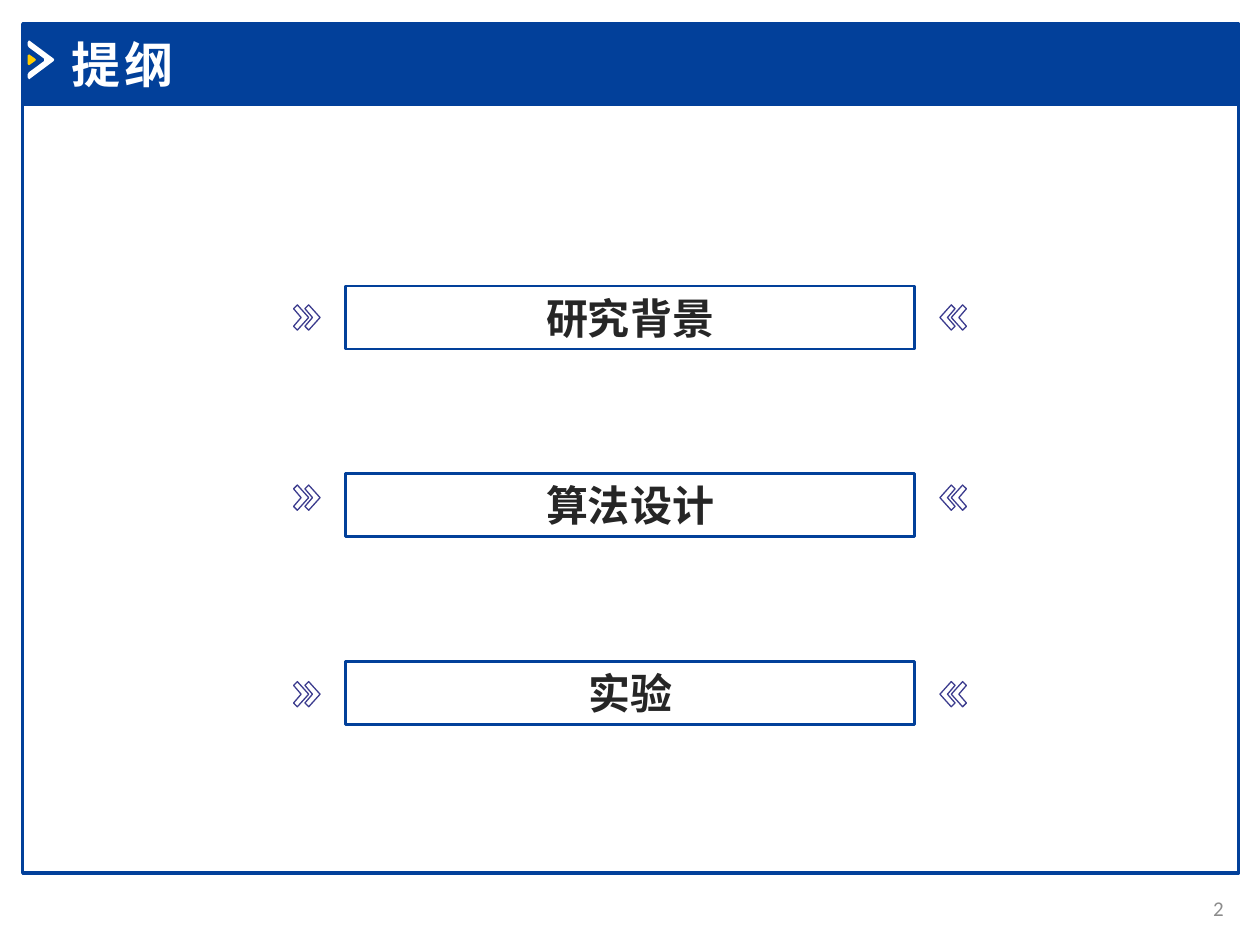
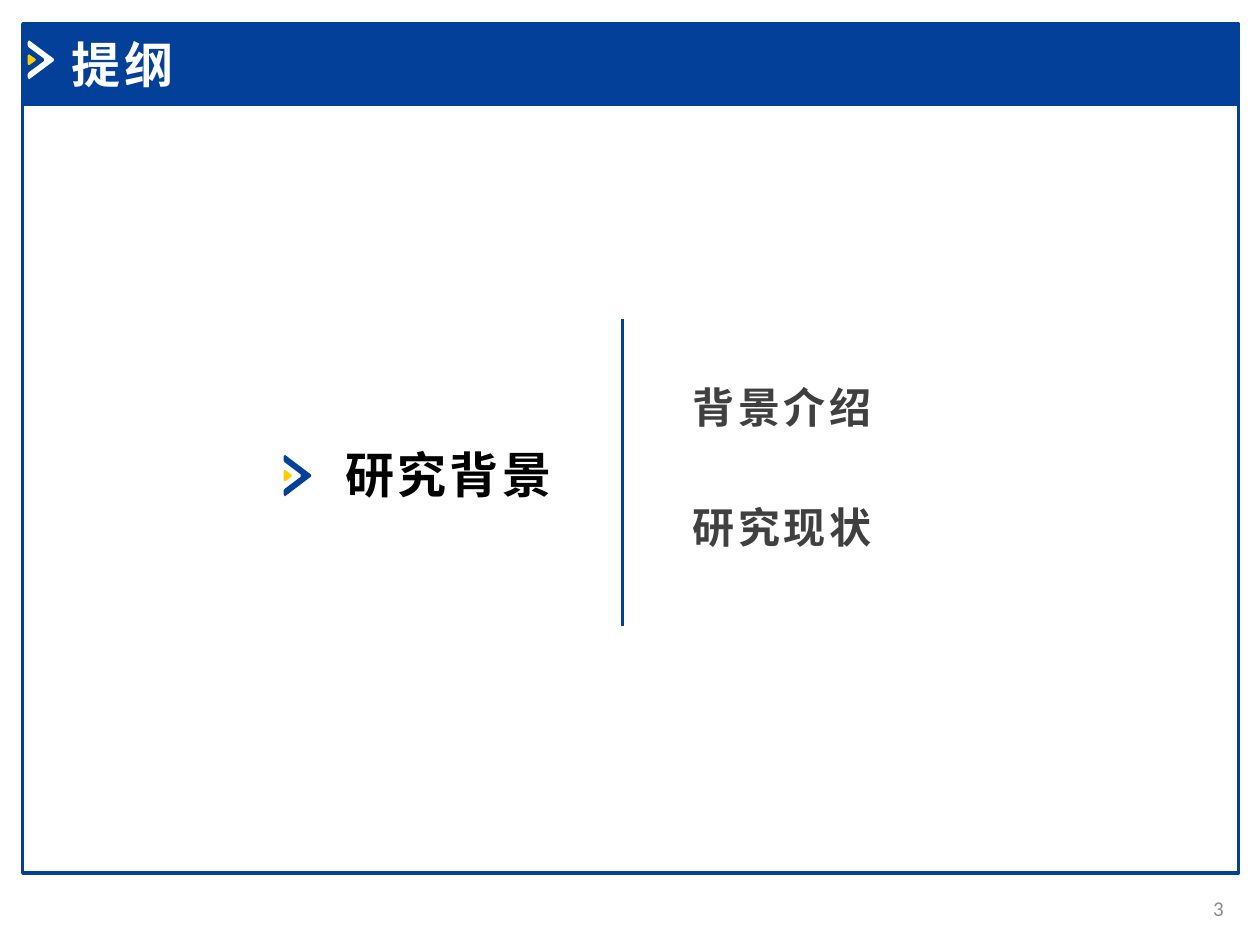
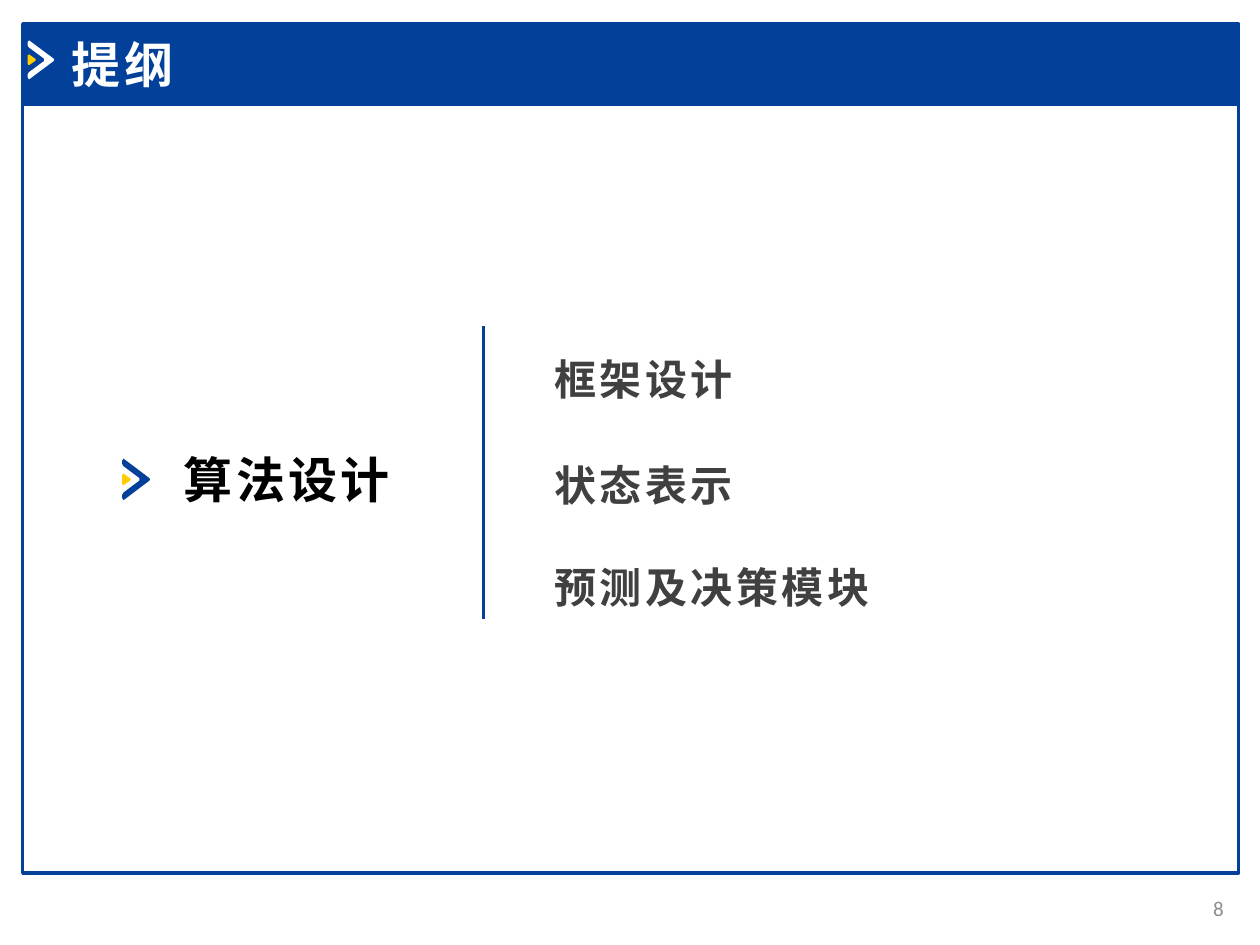
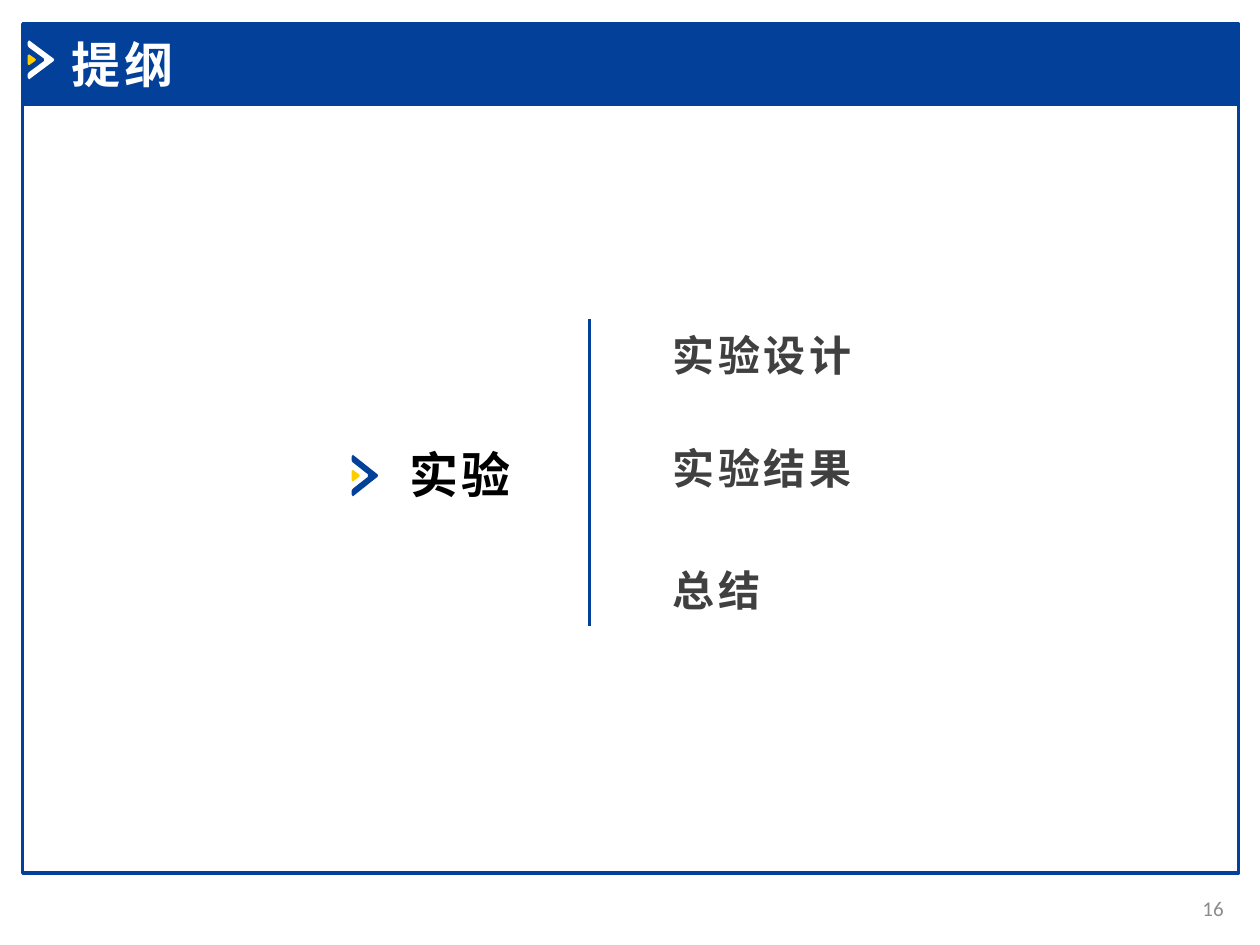
from lxml import etree
from pptx import Presentation
from pptx.dml.color import RGBColor
from pptx.enum.shapes import MSO_CONNECTOR, MSO_SHAPE
from pptx.enum.text import MSO_ANCHOR, MSO_AUTO_SIZE, PP_ALIGN
from pptx.oxml.ns import qn
from pptx.util import Inches, Pt

BLUE, YELLOW, WHITE, BLACK = "02409A", "FFCC00", "FFFFFF", "000000"
INDIGO, DARK, GREY, PALE = "3C3C8E", "262626", "404040", "8C8C8C"
LATIN, CHINESE = "Calibri", "Noto Sans CJK SC"
PAGE_WIDTH, PAGE_HEIGHT = 10, 7.5

CHEVRON = (
    (0.05, 0), (0, 0.05), (0, 0.13), (0.04, 0.18), (0.62, 0.47), (0.62, 0.53), (0.04, 0.82),
    (0, 0.87), (0, 0.95), (0.05, 1), (0.98, 0.53), (1, 0.5), (0.98, 0.47),
)
CHEVRON_CORE = (
    (0.05, 0.36), (0, 0.39), (0, 0.61), (0.05, 0.64), (0.28, 0.53), (0.31, 0.5), (0.28, 0.47),
)
OUTLINE_ARROW = ((0.25, 0), (0, 0.15), (0.5, 0.5), (0, 0.85), (0.25, 1), (1, 0.5))


def color(value):
    return RGBColor.from_string(value)


def write(shape, text, size, ink, font=CHINESE, bold=True, spacing=0,
          align=PP_ALIGN.LEFT, anchor=MSO_ANCHOR.TOP, fit=MSO_AUTO_SIZE.SHAPE_TO_FIT_TEXT):
    frame = shape.text_frame
    frame.word_wrap = True
    frame.auto_size = fit
    frame.vertical_anchor = anchor
    paragraph = frame.paragraphs[0]
    paragraph.alignment = align
    run = paragraph.add_run()
    run.text = text
    run.font.name = font
    run.font.size = Pt(size)
    run.font.bold = bold
    run.font.color.rgb = color(ink)
    properties = run.font._element
    etree.SubElement(properties, qn("a:ea")).set("typeface", CHINESE)
    if spacing:
        properties.set("spc", str(spacing * 100))


class Deck:
    def __init__(self):
        self.presentation = Presentation()
        self.presentation.slide_width = Inches(PAGE_WIDTH)
        self.presentation.slide_height = Inches(PAGE_HEIGHT)
        self.layout = self.presentation.slide_layouts[5]
        self.slide = None

    def add_slide(self, title, number):
        first = self.slide is None
        self.slide = self.presentation.slides.add_slide(self.layout)
        if first:
            self.frame_layout()
        heading = self.slide.shapes.title
        heading.left, heading.top = Inches(0.47), Inches(0.22)
        heading.width, heading.height = Inches(3.56), Inches(0.57)
        write(heading, title, 28, WHITE, font=LATIN, spacing=2)
        self.text(str(number), 9.22, 7.01, 0.59, 0.4, size=12, ink=PALE, font=LATIN, bold=False,
                  align=PP_ALIGN.RIGHT, anchor=MSO_ANCHOR.MIDDLE, fit=MSO_AUTO_SIZE.NONE)

    def frame_layout(self):
        parts = [
            self.box(0.18, 0.83, 9.65, 6.1, line_width=2),
            self.box(0.18, 0.19, 9.65, 0.64, line_width=2, fill=BLUE),
            *self.marker(0.22, 0.32, 0.21, 0.31, WHITE),
        ]
        for part in parts:
            self.layout.shapes.element.append(part.element)

    def paint(self, shape, fill=None, line=None, line_width=1):
        shape.shadow.inherit = False
        if fill:
            shape.fill.solid()
            shape.fill.fore_color.rgb = color(fill)
        else:
            shape.fill.background()
        if line:
            shape.line.color.rgb = color(line)
            shape.line.width = Pt(line_width)
        else:
            shape.line.fill.background()
        return shape

    def box(self, left, top, width, height, line_width, fill=None):
        shape = self.slide.shapes.add_shape(
            MSO_SHAPE.RECTANGLE, Inches(left), Inches(top), Inches(width), Inches(height))
        return self.paint(shape, fill, BLUE, line_width)

    def text(self, text, left, top, width, height, **style):
        shape = self.slide.shapes.add_textbox(
            Inches(left), Inches(top), Inches(width), Inches(height))
        write(shape, text, **style)

    def outline(self, fractions, left, top, width, height, **style):
        points = [(Inches(left + x * width), Inches(top + y * height)) for x, y in fractions]
        builder = self.slide.shapes.build_freeform(*points[0])
        builder.add_line_segments(points[1:], close=True)
        return self.paint(builder.convert_to_shape(), **style)

    def marker(self, left, top, width, height, fill):
        return [
            self.outline(CHEVRON, left, top, width, height, fill=fill),
            self.outline(CHEVRON_CORE, left, top, width, height, fill=YELLOW),
        ]

    def divider(self, left, top, bottom):
        connector = self.slide.shapes.add_connector(
            MSO_CONNECTOR.STRAIGHT, Inches(left), Inches(top), Inches(left), Inches(bottom))
        connector.line.color.rgb = color(BLUE)
        connector.line.width = Pt(1.5)
        etree.SubElement(connector.element.spPr, qn("a:effectLst"))

    def agenda_item(self, text, top, arrow_top):
        shape = self.box(2.74, top, 4.52, 0.5, line_width=1.5)
        write(shape, text, 24, DARK, align=PP_ALIGN.CENTER)
        for left in (2.33, 2.42):
            for start, direction in ((left, 1), (PAGE_WIDTH - left, -1)):
                self.outline(OUTLINE_ARROW, start, arrow_top, direction * 0.12, 0.2,
                             line=INDIGO, line_width=0.75)

    def section(self, heading, heading_box, marker_box, divider, topic_left, topic_width, topics):
        self.text(heading, *heading_box, size=28, ink=BLACK, spacing=2)
        self.marker(*marker_box, BLUE)
        self.divider(*divider)
        for topic, top in topics:
            self.text(topic, topic_left, top, topic_width, 0.5, size=24, ink=GREY, spacing=2)


AGENDA = (("研究背景", 2.42), ("算法设计", 3.85), ("实验", 5.41))

SECTIONS = (
    (3, dict(heading="研究背景", heading_box=(2.64, 3.48, 2.15, 0.57),
             marker_box=(2.25, 3.61, 0.22, 0.33), divider=(4.94, 2.53, 4.97),
             topic_left=5.4, topic_width=2.73,
             topics=(("背景介绍", 2.98), ("研究现状", 3.93)))),
    (8, dict(heading="算法设计", heading_box=(1.36, 3.52, 2.14, 0.73),
             marker_box=(0.97, 3.64, 0.22, 0.33), divider=(3.84, 2.59, 4.91),
             topic_left=4.3, topic_width=5.5,
             topics=(("框架设计", 2.76), ("状态表示", 3.6), ("预测及决策模块", 4.41)))),
    (16, dict(heading="实验", heading_box=(3.15, 3.48, 1.44, 0.57),
              marker_box=(2.79, 3.61, 0.21, 0.33), divider=(4.68, 2.53, 4.97),
              topic_left=5.24, topic_width=2.5,
              topics=(("实验设计", 2.57), ("实验结果", 3.46), ("总结", 4.43)))),
)


def main():
    deck = Deck()
    deck.add_slide("提纲", 2)
    for index, (text, arrow_top) in enumerate(AGENDA):
        deck.agenda_item(text, 2.27 + index * 1.49, arrow_top)
    for number, content in SECTIONS:
        deck.add_slide("提纲", number)
        deck.section(**content)
    deck.presentation.save("out.pptx")


if __name__ == "__main__":
    main()
